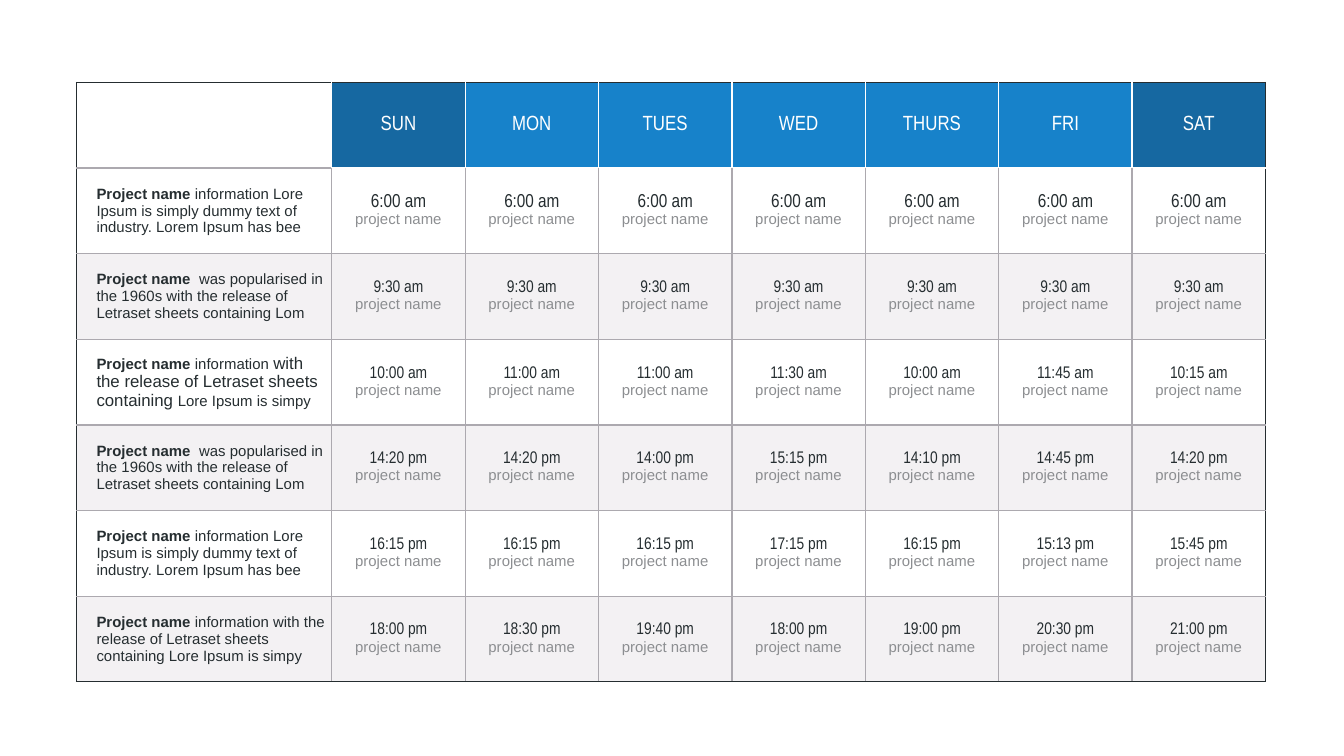
import lxml.etree
import pptx
import pptx.dml.color
import pptx.enum.text
import pptx.oxml.ns
import pptx.util

RGBColor = pptx.dml.color.RGBColor
WHITE = RGBColor(0xFF, 0xFF, 0xFF)
INK = RGBColor(0x25, 0x2D, 0x30)
GREY = RGBColor(0x8C, 0x8E, 0x91)
RULE = RGBColor(0xAC, 0xA9, 0xAF)
BAND = RGBColor(0xE8, 0xE5, 0xE9)
WEEKDAY = RGBColor(0x17, 0x82, 0xCA)
WEEKEND = RGBColor(0x16, 0x68, 0xA1)
BODY_FONT, TIME_FONT = "Arial", "Arial Narrow"

SLIDE_WIDTH = pptx.util.Inches(10)
SLIDE_HEIGHT = SLIDE_WIDTH * 9 // 16
LABEL_SHARE = 1.9 / 8.85

DAYS = ["SUN", "MON", "TUES", "WED", "THURS", "FRI", "SAT"]
DUMMY = [("information Lore Ipsum is simply dummy text of industry. Lorem Ipsum has bee", 8)]
POPULARISED = [(" was popularised in the 1960s with the release of Letraset sheets containing Lom", 8)]
MIXED = [
    ("information ", 8),
    ("with the release of Letraset sheets containing ", 9),
    ("Lore Ipsum is simpy", 8),
]
RELEASE = [("information with the release of Letraset sheets containing Lore Ipsum is simpy", 8)]
SCHEDULE = [
    (DUMMY, 10, ["6:00 am"] * 7),
    (POPULARISED, 9, ["9:30 am"] * 7),
    (MIXED, 9, ["10:00 am", "11:00 am", "11:00 am", "11:30 am", "10:00 am", "11:45 am", "10:15 am"]),
    (POPULARISED, 9, ["14:20 pm", "14:20 pm", "14:00 pm", "15:15 pm", "14:10 pm", "14:45 pm", "14:20 pm"]),
    (DUMMY, 9, ["16:15 pm", "16:15 pm", "16:15 pm", "17:15 pm", "16:15 pm", "15:13 pm", "15:45 pm"]),
    (RELEASE, 9, ["18:00 pm", "18:30 pm", "19:40 pm", "18:00 pm", "19:00 pm", "20:30 pm", "21:00 pm"]),
]


def add_run(paragraph, text, size, font, color, bold=False):
    """Append one formatted run to a paragraph."""
    run = paragraph.add_run()
    run.text = text
    run.font.size = pptx.util.Pt(size)
    run.font.name = font
    run.font.bold = bold
    run.font.color.rgb = color


def set_borders(cell, left, right, top, bottom):
    """Rule the four sides of a cell in the given colours."""
    properties = cell._tc.get_or_add_tcPr()
    sides = zip(("lnL", "lnR", "lnT", "lnB"), (left, right, top, bottom))
    for position, (side, color) in enumerate(sides):
        line = lxml.etree.Element(pptx.oxml.ns.qn(f"a:{side}"), w=str(pptx.util.Pt(0.75)))
        solid = lxml.etree.SubElement(line, pptx.oxml.ns.qn("a:solidFill"))
        lxml.etree.SubElement(solid, pptx.oxml.ns.qn("a:srgbClr"), val=str(color))
        properties.insert(position, line)


def fill_cell(cell, color=None, opacity=100):
    """Fill a cell with a colour, or leave it clear."""
    if color is None:
        cell.fill.background()
        return
    cell.fill.solid()
    cell.fill.fore_color.rgb = color
    if opacity < 100:
        swatch = cell._tc.tcPr.find(".//" + pptx.oxml.ns.qn("a:srgbClr"))
        lxml.etree.SubElement(swatch, pptx.oxml.ns.qn("a:alpha"), val=str(opacity * 1000))


def style_cell(cell, row, column):
    """Apply the margins, fill and borders that follow from a cell's place."""
    header, label = row == 0, column == 0
    cell.vertical_anchor = pptx.enum.text.MSO_ANCHOR.MIDDLE
    cell.margin_left = pptx.util.Inches(0.15 if label else 0.04)
    cell.margin_right = pptx.util.Inches(0.04)
    cell.margin_top = cell.margin_bottom = pptx.util.Inches(0.02)
    if header and not label:
        fill_cell(cell, WEEKEND if column in (1, len(DAYS)) else WEEKDAY)
    elif not header and row % 2 == 0:
        fill_cell(cell, BAND, 50)
    else:
        fill_cell(cell)
    inner = WHITE if header else RULE
    set_borders(
        cell,
        left=INK if label else inner,
        right=INK if column == len(DAYS) else inner,
        top=INK if header else WHITE if row == 1 and not label else RULE,
        bottom=INK if row == len(SCHEDULE) else WHITE if header and not label else RULE,
    )


def write_day(cell, day):
    """Write a weekday heading."""
    heading = cell.text_frame.paragraphs[0]
    heading.alignment = pptx.enum.text.PP_ALIGN.CENTER
    add_run(heading, day, 11, TIME_FONT, WHITE)


def write_project(cell, description):
    """Write a project's bold name and its description."""
    project = cell.text_frame.paragraphs[0]
    add_run(project, "Project name ", 8, BODY_FONT, INK, bold=True)
    for text, size in description:
        add_run(project, text, size, BODY_FONT, INK)


def write_slot(cell, time, time_size):
    """Write a time with the project name under it."""
    hour = cell.text_frame.paragraphs[0]
    caption = cell.text_frame.add_paragraph()
    hour.alignment = caption.alignment = pptx.enum.text.PP_ALIGN.CENTER
    add_run(hour, time, time_size, TIME_FONT, INK)
    add_run(caption, "project name", 8, BODY_FONT, GREY)


def add_timetable(slide, left, top, width, height):
    """Place the weekly timetable in the given box."""
    rows, columns = len(SCHEDULE) + 1, len(DAYS) + 1
    timetable = slide.shapes.add_table(rows, columns, left, top, width, height).table
    timetable.first_row = timetable.horz_banding = False
    label_width = int(width * LABEL_SHARE)
    for column in range(columns):
        timetable.columns[column].width = (width - label_width) // len(DAYS) if column else label_width
    for row in range(rows):
        timetable.rows[row].height = height // rows
        for column in range(columns):
            style_cell(timetable.cell(row, column), row, column)
    for column, day in enumerate(DAYS, 1):
        write_day(timetable.cell(0, column), day)
    for row, (description, time_size, times) in enumerate(SCHEDULE, 1):
        write_project(timetable.cell(row, 0), description)
        for column, time in enumerate(times, 1):
            write_slot(timetable.cell(row, column), time, time_size)


def main():
    """Build the timetable slide and save it."""
    deck = pptx.Presentation()
    deck.slide_width, deck.slide_height = SLIDE_WIDTH, SLIDE_HEIGHT
    slide = deck.slides.add_slide(deck.slide_layouts[6])
    add_timetable(
        slide,
        pptx.util.Pt(40.9),
        pptx.util.Pt(44.2),
        pptx.util.Inches(8.85),
        pptx.util.Inches(4.46),
    )
    deck.save("out.pptx")


if __name__ == "__main__":
    main()
